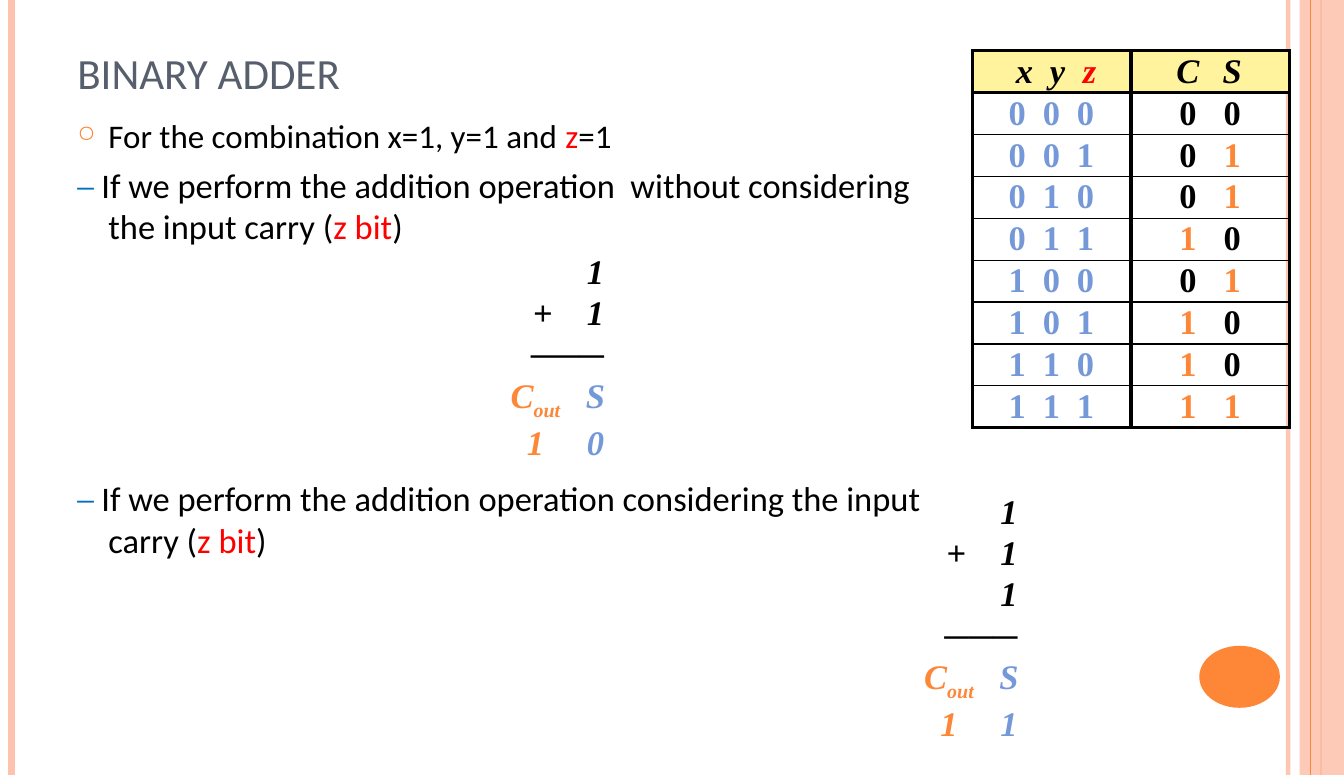
from lxml import etree
from pptx import Presentation
from pptx import util as u
from pptx.dml.color import RGBColor
from pptx.enum import shapes, text
from pptx.oxml import ns

ORANGE, PEACH, BLUE, RED, BLACK = "FE8637", "FEC3AE", "7598D9", "FF0000", "000000"
SERIF = "Times New Roman"


def add(parent, tag, **attrs):
    return etree.SubElement(parent, ns.qn(tag), {k: str(v) for k, v in attrs.items()})


def add_run(p, words, color, size=24, font="Calibri", bold=False, italic=False):
    r = p.add_run()
    r.text = words
    r.font.size, r.font.name = u.Pt(size), font
    r.font.bold, r.font.italic = bold, italic
    r.font.color.rgb = RGBColor.from_string(color)
    return r


prs = Presentation()
prs.slide_width, prs.slide_height = u.Inches(13), u.Inches(7.5)
s = prs.slides.add_slide(prs.slide_layouts[6])

for x, color, width, alpha in [(12.46, PEACH, 3, 93), (0.11, PEACH, 4.5, 100),
                               (12.78, ORANGE, 1.5, 100), (12.68, ORANGE, 0.75, 100)]:
    if x == 12.68:
        band = s.shapes.add_shape(shapes.MSO_SHAPE.RECTANGLE, u.Inches(12.57), 0,
                                  u.Inches(0.43), u.Inches(7.5))
        band.shadow.inherit = False
        band.fill.solid()
        band.fill.fore_color.rgb = RGBColor.from_string(PEACH)
        band.line.fill.background()
        add(band.fill._xPr.find(".//" + ns.qn("a:srgbClr")), "a:alpha", val=87000)
    rule = s.shapes.add_connector(shapes.MSO_CONNECTOR.STRAIGHT, u.Inches(x), 0,
                                  u.Inches(x), u.Inches(7.5))
    rule.line.width = u.Pt(width)
    rule.line.color.rgb = RGBColor.from_string(color)
    if alpha < 100:
        add(rule._element.spPr.find(".//" + ns.qn("a:srgbClr")), "a:alpha", val=alpha * 1000)
    add(rule._element.spPr, "a:effectLst")

disc = s.shapes.add_shape(shapes.MSO_SHAPE.OVAL, u.Inches(11.6), u.Inches(6.25),
                          u.Inches(0.78), u.Inches(0.6))
disc.shadow.inherit = False
disc.fill.solid()
disc.fill.fore_color.rgb = RGBColor.from_string(ORANGE)
disc.line.fill.background()

title = s.shapes.add_textbox(u.Inches(0.65), u.Inches(0.21), u.Inches(10.94), u.Inches(0.79))
tf = title.text_frame
tf.word_wrap = True
tf.vertical_anchor = text.MSO_ANCHOR.BOTTOM
add_run(tf.paragraphs[0], "BINARY ADDER", "575F6D", 30)

dash = ("─ ", "0070C0", 23)
z_bit = [("z bit", RED, 24), (")", BLACK, 24)]
bullet = [("For the combination x=1, y=1 and ", BLACK, 23), ("z", RED, 23), ("=1", BLACK, 23)]
without = [dash, ("If we perform the addition operation  without considering the input carry (",
                  BLACK, 24)] + z_bit
considering = [dash, ("If we perform the addition operation considering the input carry (",
                      BLACK, 24)] + z_bit
for top, height, paragraphs in [(1.07, 1.4, [bullet, without]), (4.57, 0.95, [considering])]:
    body = s.shapes.add_textbox(u.Inches(0.65), u.Inches(top), u.Inches(8.65), u.Inches(height))
    tf = body.text_frame
    tf.word_wrap = True
    for i, runs in enumerate(paragraphs):
        p = tf.add_paragraph() if i else tf.paragraphs[0]
        pPr = p._p.get_or_add_pPr()
        pPr.set("marL", str(u.Inches(0.3)))
        pPr.set("indent", str(u.Inches(-0.3)))
        if runs is bullet:
            add(add(pPr, "a:buClr"), "a:srgbClr", val=ORANGE)
            add(pPr, "a:buSzPct", val=70000)
            add(pPr, "a:buChar", char="○")
        if i:
            p.space_before = u.Pt(6)
        for words, color, size in runs:
            add_run(p, words, color, size)

rows = [[[("x", BLACK), ("y", BLACK), ("z", RED)], [("C", BLACK), ("S", BLACK)]]]
for n in range(8):
    bits = f"{n:03b}"
    total = f"{bits.count('1'):02b}"
    rows.append([[(b, BLUE) for b in bits],
                 [(b, ORANGE if b == "1" else BLACK) for b in total]])

frame = s.shapes.add_table(9, 2, u.Inches(9.41), u.Inches(0.49), u.Inches(3.07), u.Inches(3.65))
table = frame.table
table.first_row = table.horz_banding = False
for column in table.columns:
    column.width = u.Inches(1.53)
for i, row in enumerate(rows):
    table.rows[i].height = u.Inches(3.65 / 9)
    stops = [(0.43, 0.76, 1.09) if i else (0.5, 0.82, 1.13), (0.55, 0.98)]
    for j, symbols in enumerate(row):
        cell = table.cell(i, j)
        cell.margin_left = cell.margin_right = cell.margin_top = cell.margin_bottom = 0
        cell.vertical_anchor = text.MSO_ANCHOR.MIDDLE
        widths = {"a:lnL": 3 if j else 2.25, "a:lnR": 2.25 if j else 3,
                  "a:lnT": {0: 2.25, 1: 3}.get(i, 1), "a:lnB": {0: 3, 8: 2.25}.get(i, 1)}
        for tag, width in widths.items():
            ln = add(cell._tc.get_or_add_tcPr(), tag, w=u.Pt(width))
            add(add(ln, "a:solidFill"), "a:srgbClr", val=BLACK)
        if i:
            cell.fill.background()
        else:
            cell.fill.solid()
            cell.fill.fore_color.rgb = RGBColor.from_string("FFF39D")
        p = cell.text_frame.paragraphs[0]
        tabs = add(p._p.get_or_add_pPr(), "a:tabLst")
        for stop, (symbol, color) in zip(stops[j], symbols):
            add(tabs, "a:tab", pos=u.Inches(stop), algn="ctr")
            add_run(p, "\t" + symbol, color, 24, SERIF, True, i == 0)

for left, top, addends, result in [(4.35, 2.42, 2, "0"), (8.35, 4.74, 3, "1")]:
    addend = ([1.41], [("\t1", BLACK)])
    lines = [addend, ([0.9, 1.41], [("\t+", BLACK), ("\t1", BLACK)])]
    lines += [addend] * (addends - 2)
    lines += [([1.14], [("\t───", BLACK)]),
              ([0.83, 1.41], [("\tC", ORANGE), ("out", ORANGE), ("\tS", BLUE)]),
              ([0.83, 1.41], [("\t1", ORANGE), ("\t" + result, BLUE)])]
    addition = s.shapes.add_textbox(u.Inches(left), u.Inches(top), u.Inches(1.8),
                                    u.Inches(1.22 + 0.4 * addends))
    tf = addition.text_frame
    tf.word_wrap = True
    tf.margin_left = tf.margin_right = tf.margin_top = tf.margin_bottom = 0
    for i, (stops, runs) in enumerate(lines):
        p = tf.add_paragraph() if i else tf.paragraphs[0]
        tabs = add(p._p.get_or_add_pPr(), "a:tabLst")
        for stop in stops:
            add(tabs, "a:tab", pos=u.Inches(stop), algn="ctr")
        for words, color in runs:
            r = add_run(p, words, color, 24, SERIF, True, True)
            if words == "out":
                r.font._element.set("baseline", "-25000")

prs.save("out.pptx")
